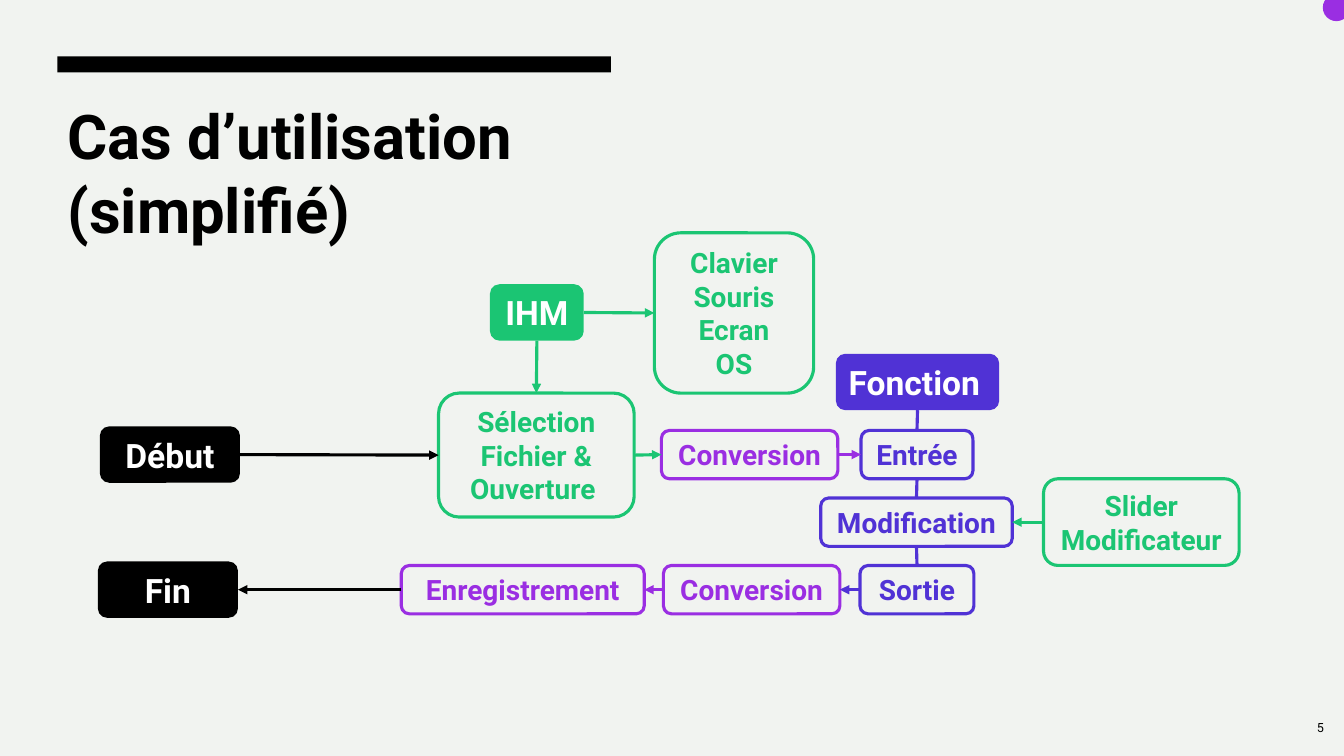
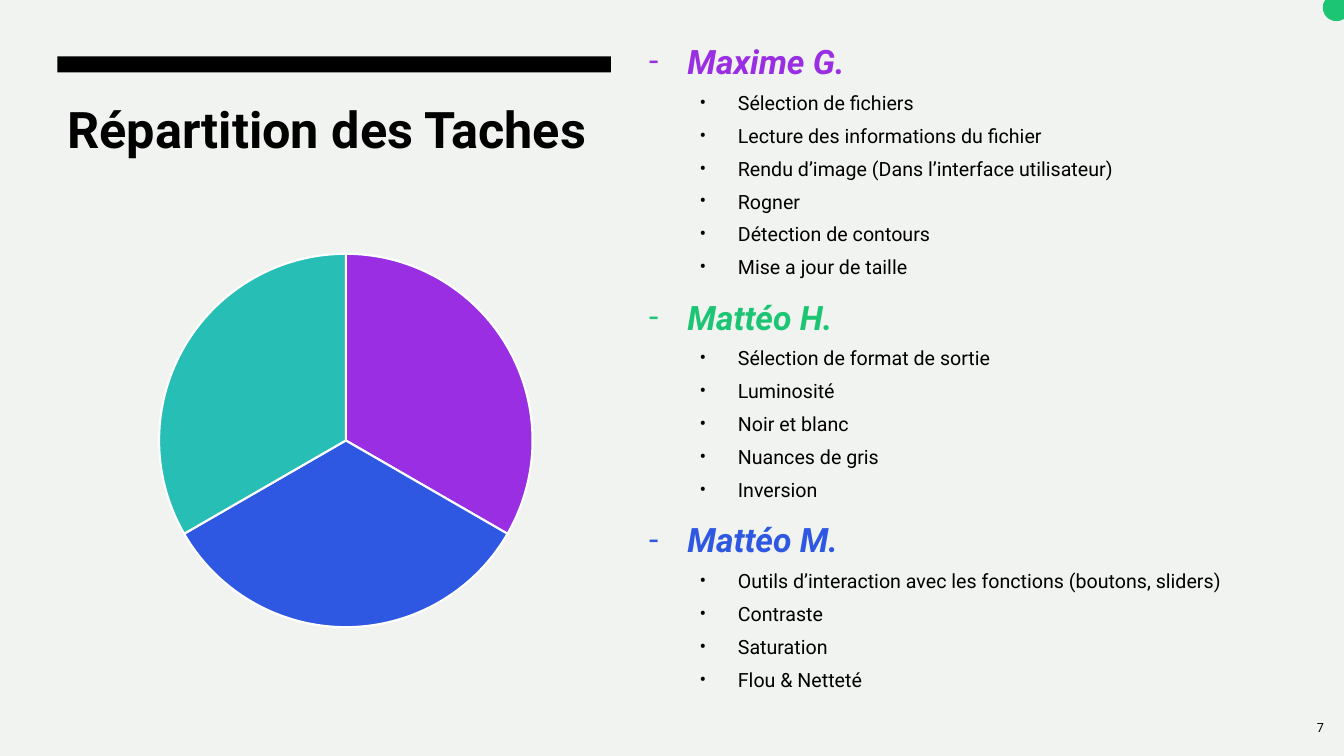
from lxml import etree
from pptx import Presentation
from pptx.chart.data import CategoryChartData
from pptx.dml.color import RGBColor
from pptx.enum.chart import XL_CHART_TYPE
from pptx.enum.shapes import MSO_CONNECTOR, MSO_SHAPE
from pptx.enum.text import MSO_ANCHOR, PP_ALIGN
from pptx.oxml.ns import qn
from pptx.util import Pt

PX = 9144
FONT = "Roboto"
PAPER = RGBColor(0xF1, 0xF3, 0xF0)
BLACK = RGBColor(0x00, 0x00, 0x00)
WHITE = RGBColor(0xFF, 0xFF, 0xFF)
INDIGO = RGBColor(0x50, 0x32, 0xD5)
PURPLE = RGBColor(0x9A, 0x2E, 0xE2)
GREEN = RGBColor(0x1B, 0xC5, 0x73)
BLUE = RGBColor(0x2E, 0x58, 0xE2)
TEAL = RGBColor(0x27, 0xBF, 0xB5)

RECTANGLE, ROUNDED, OVAL = MSO_SHAPE.RECTANGLE, MSO_SHAPE.ROUNDED_RECTANGLE, MSO_SHAPE.OVAL
STRAIGHT = MSO_CONNECTOR.STRAIGHT
PIE = XL_CHART_TYPE.PIE
LEFT, CENTER, RIGHT = PP_ALIGN.LEFT, PP_ALIGN.CENTER, PP_ALIGN.RIGHT
TOP, MIDDLE = MSO_ANCHOR.TOP, MSO_ANCHOR.MIDDLE
SITE_TOP, SITE_LEFT, SITE_BOTTOM, SITE_RIGHT = range(4)

NODES = {
    "fonction": ("Fonction", (732, 120, 162, 56), INDIGO, True),
    "entrée": ("Entrée", (757, 196, 111, 48), INDIGO, False),
    "modification": ("Modification", (717, 263, 190, 48), INDIGO, False),
    "sortie": ("Sortie", (756, 330, 113, 48), INDIGO, False),
    "conversion sortie": ("Conversion", (561, 330, 175, 48), PURPLE, False),
    "enregistrement": ("Enregistrement", (301, 330, 241, 48), PURPLE, False),
    "ihm": ("IHM", (389, 51, 93, 56), GREEN, True),
    "matériel": ("Clavier Souris\nEcran\nOS", (552, 0, 158, 159), GREEN, False),
    "sélection": ("Sélection Fichier & Ouverture ", (338, 159, 194, 123), GREEN, False),
    "conversion entrée": ("Conversion", (559, 196, 175, 48), PURPLE, False),
    "slider": ("Slider Modificateur", (938, 244, 194, 86), GREEN, False),
    "début": ("Début", (2, 192, 139, 56), BLACK, True),
    "fin": ("Fin", (0, 326, 139, 56), BLACK, True),
}
RIGHTWARD = (SITE_RIGHT, SITE_LEFT)
LEFTWARD = (SITE_LEFT, SITE_RIGHT)
DOWNWARD = (SITE_BOTTOM, SITE_TOP)
LINKS = [
    ("ihm", "matériel", RIGHTWARD, GREEN, True),
    ("ihm", "sélection", DOWNWARD, GREEN, True),
    ("début", "sélection", RIGHTWARD, BLACK, True),
    ("sélection", "conversion entrée", RIGHTWARD, GREEN, True),
    ("conversion entrée", "entrée", RIGHTWARD, PURPLE, True),
    ("fonction", "entrée", DOWNWARD, INDIGO, False),
    ("entrée", "modification", DOWNWARD, INDIGO, False),
    ("modification", "sortie", DOWNWARD, INDIGO, False),
    ("slider", "modification", LEFTWARD, GREEN, True),
    ("sortie", "conversion sortie", LEFTWARD, INDIGO, True),
    ("conversion sortie", "enregistrement", LEFTWARD, PURPLE, True),
    ("enregistrement", "fin", LEFTWARD, BLACK, True),
]
TASKS = [
    ("Maxime G.", PURPLE, [
        "Sélection de fichiers",
        "Lecture des informations du fichier",
        "Rendu d’image (Dans l’interface utilisateur)",
        "Rogner",
        "Détection de contours",
        "Mise a jour de taille",
    ]),
    ("Mattéo H.", GREEN, [
        "Sélection de format de sortie",
        "Luminosité",
        "Noir et blanc",
        "Nuances de gris",
        "Inversion",
    ]),
    ("Mattéo M.", BLUE, [
        "Outils d’interaction avec les fonctions (boutons, sliders)",
        "Contraste",
        "Saturation",
        "Flou & Netteté",
    ]),
]
SHARES = [("1", 33, PURPLE), ("2", 33, BLUE), ("3", 33, TEAL)]


def emu(box):
    """Turn px lengths into EMU."""
    return [length * PX for length in box]


def style(paragraph, size, color, bold=False, italic=False):
    """Set the font of a whole paragraph."""
    font = paragraph.font
    font.name, font.size, font.bold, font.italic = FONT, Pt(size), bold, italic
    font.color.rgb = color


def add_panel(slide, kind, box, fill, outline=None):
    """Add a flat preset shape, outlined if a colour is given."""
    panel = slide.shapes.add_shape(kind, *emu(box))
    panel.shadow.inherit = False
    panel.fill.solid()
    panel.fill.fore_color.rgb = fill
    if outline is None:
        panel.line.fill.background()
    else:
        panel.line.color.rgb = outline
        panel.line.width = Pt(2.25)
    return panel


def add_text(slide, box, text, size, bold=False, align=LEFT, anchor=TOP):
    """Add a wrapping black text of one paragraph."""
    frame = slide.shapes.add_textbox(*emu(box)).text_frame
    frame.word_wrap = True
    frame.vertical_anchor = anchor
    frame.text = text
    frame.paragraphs[0].alignment = align
    style(frame.paragraphs[0], size, BLACK, bold)


def add_base(prs, title, title_size, number, accent):
    """Add a slide with its bar, title, page number and corner dot."""
    slide = prs.slides.add_slide(prs.slide_layouts[6])
    slide.background.fill.solid()
    slide.background.fill.fore_color.rgb = PAPER
    add_panel(slide, RECTANGLE, (57, 56, 549, 16), BLACK)
    add_text(slide, (57, 92, 549, 248), title, title_size, bold=True)
    add_text(slide, (1253, 702, 70, 40), number, 9, align=RIGHT, anchor=MIDDLE)
    add_panel(slide, OVAL, (1312, -6, 27, 27), accent)
    return slide


def add_node(slide, left, top, text, box, color, filled):
    """Add one rounded step of the diagram."""
    x, y, width, height = box
    node = add_panel(slide, ROUNDED, (left + x, top + y, width, height),
                     color if filled else PAPER, None if filled else color)
    frame = node.text_frame
    frame.word_wrap = True
    frame.vertical_anchor = MIDDLE
    frame.text = text
    for paragraph in frame.paragraphs:
        paragraph.alignment = LEFT if text == "Fonction" else CENTER
        style(paragraph, 24 if filled else 20, WHITE if filled else color, bold=True)
    return node


def add_link(slide, start, end, sites, color, arrow):
    """Join two steps, with an arrowhead if asked."""
    link = slide.shapes.add_connector(STRAIGHT, 0, 0, 0, 0)
    link.begin_connect(start, sites[0])
    link.end_connect(end, sites[1])
    link.line.color.rgb = color
    link.line.width = Pt(2.25)
    if arrow:
        etree.SubElement(link.line._get_or_add_ln(), qn("a:tailEnd"), type="triangle")
    etree.SubElement(link._element.spPr, qn("a:effectLst"))


def add_diagram(slide, left, top):
    """Draw the use case flow from its top left corner."""
    nodes = {key: add_node(slide, left, top, *node) for key, node in NODES.items()}
    for start, end, sites, color, arrow in LINKS:
        add_link(slide, nodes[start], nodes[end], sites, color, arrow)


def add_bullet(paragraph, text, mark, indent, before):
    """Write a paragraph with a hanging bullet."""
    paragraph.text = text
    paragraph.line_spacing = 1.1
    paragraph.space_before = Pt(before)
    properties = paragraph._p.get_or_add_pPr()
    properties.set("marL", str(indent * PX))
    properties.set("indent", str(-38 * PX))
    etree.SubElement(properties, qn("a:buFont"), typeface=FONT)
    etree.SubElement(properties, qn("a:buChar"), char=mark)


def add_tasks(slide, box):
    """List the tasks of each member."""
    frame = slide.shapes.add_textbox(*emu(box)).text_frame
    frame.word_wrap = True
    paragraph = frame.paragraphs[0]
    for index, (member, color, tasks) in enumerate(TASKS):
        if index:
            paragraph = frame.add_paragraph()
        add_bullet(paragraph, member, "-", 38, 10)
        style(paragraph, 24, color, bold=True, italic=True)
        for task in tasks:
            paragraph = frame.add_paragraph()
            add_bullet(paragraph, task, "•", 88, 5)
            style(paragraph, 14, BLACK)


def add_shares(slide, box):
    """Draw the pie of work shares."""
    data = CategoryChartData()
    data.categories = [label for label, _, _ in SHARES]
    data.add_series("Series 1", [value for _, value, _ in SHARES])
    chart = slide.shapes.add_chart(PIE, *emu(box), data).chart
    chart.has_legend = chart.has_title = False
    chart.font.name, chart.font.size = FONT, Pt(10)
    chart.font.color.rgb = BLACK
    for index, (_, _, color) in enumerate(SHARES):
        slice_format = chart.plots[0].series[0].points[index].format
        slice_format.fill.solid()
        slice_format.fill.fore_color.rgb = color
        slice_format.line.color.rgb = WHITE
        slice_format.line.width = Pt(1.5)


def main():
    """Build and save the slides."""
    prs = Presentation()
    prs.slide_width, prs.slide_height = emu((1333, 750))
    use_case = add_base(prs, "Cas d’utilisation (simplifié)", 44, "5", PURPLE)
    add_diagram(use_case, 97, 231)
    sharing = add_base(prs, "Répartition des Taches", 36, "7", GREEN)
    add_tasks(sharing, (634, 32, 642, 685))
    add_shares(sharing, (144, 232, 398, 410))
    prs.save("out.pptx")


if __name__ == "__main__":
    main()
